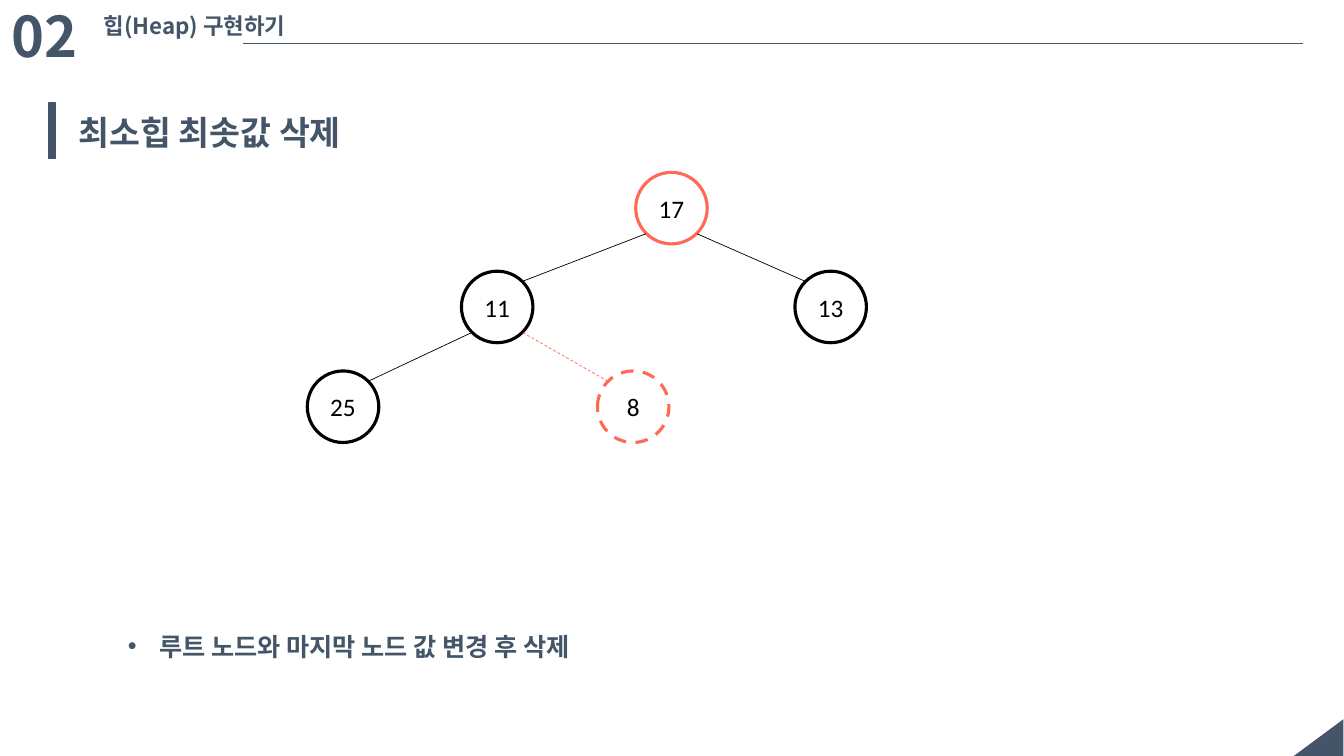
from dataclasses import dataclass

from pptx import Presentation
from pptx.dml.color import RGBColor
from pptx.enum.dml import MSO_LINE
from pptx.enum.shapes import MSO_CONNECTOR, MSO_SHAPE
from pptx.enum.text import MSO_ANCHOR, PP_ALIGN
from pptx.oxml.ns import qn
from pptx.util import Pt

EMU_PER_PX = 9144  # 100 px to the inch
COLORS = {"slate": "445569", "black": "000000", "coral": "FF6956"}
KOREAN_FONT, NODE_FONT = "Noto Sans CJK KR", "Calibri"
STRAIGHT, DASH = MSO_CONNECTOR.STRAIGHT, MSO_LINE.DASH
RECTANGLE, OVAL, TRIANGLE = MSO_SHAPE.RECTANGLE, MSO_SHAPE.OVAL, MSO_SHAPE.RIGHT_TRIANGLE
CENTER, MIDDLE = PP_ALIGN.CENTER, MSO_ANCHOR.MIDDLE
NODE_SIZE = 71
NODE_INSET = 10  # from the node's frame to its outline on the diagonal
BULLET_INDENT = 31


@dataclass
class Label:
    text: str
    left: int
    top: int
    width: int
    height: int
    size: int
    wrap: bool = True
    bullet: bool = False


@dataclass
class Node:
    value: str
    left: int
    top: int
    color: str = "black"
    dashed: bool = False


@dataclass
class Edge:
    parent: str
    child: str
    color: str = "black"
    dashed: bool = False


LABELS = [
    Label("02", 2, -3, 127, 77, 40),
    Label("힙(Heap) 구현하기", 93, 7, 211, 37, 16, wrap=False),
    Label("최소힙 최솟값 삭제", 68, 106, 811, 50, 24),
    Label("루트 노드와 마지막 노드 값 변경 후 삭제", 117, 606, 1028, 55, 18, bullet=True),
]
NODES = [
    Node("17", 631, 171, "coral"),
    Node("11", 458, 269),
    Node("13", 789, 269),
    Node("25", 305, 368),
    Node("8", 593, 368, "coral", dashed=True),
]
EDGES = [
    Edge("17", "11"),
    Edge("17", "13"),
    Edge("11", "25"),
    Edge("11", "8", "coral", dashed=True),
]


def px(length: int) -> int:
    return length * EMU_PER_PX


def rgb(color: str) -> RGBColor:
    return RGBColor.from_string(COLORS[color])


def add_run(paragraph, text: str, size: int, font: str, color: str, bold: bool) -> None:
    run = paragraph.add_run()
    run.text = text
    run.font.size = Pt(size)
    run.font.bold = bold
    run.font.name = font
    run.font.color.rgb = rgb(color)
    east_asian = run.font._element.makeelement(qn("a:ea"), {"typeface": font})
    run.font._element.append(east_asian)


def add_bullet(paragraph) -> None:
    properties = paragraph._p.get_or_add_pPr()
    properties.set("marL", str(px(BULLET_INDENT)))
    properties.set("indent", str(-px(BULLET_INDENT)))
    bullet_color = properties.makeelement(qn("a:buClr"), {})
    bullet_color.append(properties.makeelement(qn("a:srgbClr"), {"val": COLORS["slate"]}))
    properties.append(bullet_color)
    properties.append(properties.makeelement(qn("a:buFont"), {"typeface": "Arial"}))
    properties.append(properties.makeelement(qn("a:buChar"), {"char": "•"}))


def add_label(slide, label: Label) -> None:
    box = slide.shapes.add_textbox(
        px(label.left), px(label.top), px(label.width), px(label.height))
    box.text_frame.word_wrap = label.wrap
    paragraph = box.text_frame.paragraphs[0]
    if label.bullet:
        paragraph.line_spacing = 1.5
        add_bullet(paragraph)
    add_run(paragraph, label.text, label.size, KOREAN_FONT, "slate", True)


def add_block(slide, kind, left: int, top: int, width: int, height: int):
    shape = slide.shapes.add_shape(kind, px(left), px(top), px(width), px(height))
    shape.shadow.inherit = False
    shape.fill.solid()
    shape.fill.fore_color.rgb = rgb("slate")
    shape.line.fill.background()
    return shape


def style_line(line, color: str, width: float, dashed: bool) -> None:
    line.color.rgb = rgb(color)
    line.width = Pt(width)
    if dashed:
        line.dash_style = DASH


def add_line(slide, start: tuple[int, int], end: tuple[int, int],
             color: str, width: float, dashed: bool = False) -> None:
    connector = slide.shapes.add_connector(STRAIGHT, *map(px, start + end))
    style_line(connector.line, color, width, dashed)
    properties = connector._element.spPr
    properties.append(properties.makeelement(qn("a:effectLst"), {}))


def add_node(slide, node: Node) -> None:
    shape = slide.shapes.add_shape(
        OVAL, px(node.left), px(node.top), px(NODE_SIZE), px(NODE_SIZE))
    shape.shadow.inherit = False
    shape.fill.background()
    style_line(shape.line, node.color, 2.25, node.dashed)
    shape.text_frame.vertical_anchor = MIDDLE
    paragraph = shape.text_frame.paragraphs[0]
    paragraph.alignment = CENTER
    add_run(paragraph, node.value, 18, NODE_FONT, "black", False)


def add_edge(slide, edge: Edge, nodes: dict[str, Node]) -> None:
    parent, child = nodes[edge.parent], nodes[edge.child]
    near, far = NODE_INSET, NODE_SIZE - NODE_INSET
    parent_x, child_x = (near, far) if child.left < parent.left else (far, near)
    start = (parent.left + parent_x, parent.top + far)
    end = (child.left + child_x, child.top + near)
    add_line(slide, start, end, edge.color, 0.5, edge.dashed)


def main() -> None:
    presentation = Presentation()
    presentation.slide_width, presentation.slide_height = px(1334), px(750)
    slide = presentation.slides.add_slide(presentation.slide_layouts[6])

    # Page frame: corner, header rule and title bar
    corner = add_block(slide, TRIANGLE, 1290, 707, 37, 50)
    corner.rotation = 270
    add_line(slide, (241, 43), (1293, 43), "slate", 0.75)
    title_bar = add_block(slide, RECTANGLE, 48, 102, 7, 55)
    style_line(title_bar.line, "slate", 1, False)

    # Headings and explanation
    for label in LABELS:
        add_label(slide, label)

    # Heap tree
    nodes = {node.value: node for node in NODES}
    for node in NODES:
        add_node(slide, node)
    for edge in EDGES:
        add_edge(slide, edge, nodes)

    presentation.save("out.pptx")


if __name__ == "__main__":
    main()
